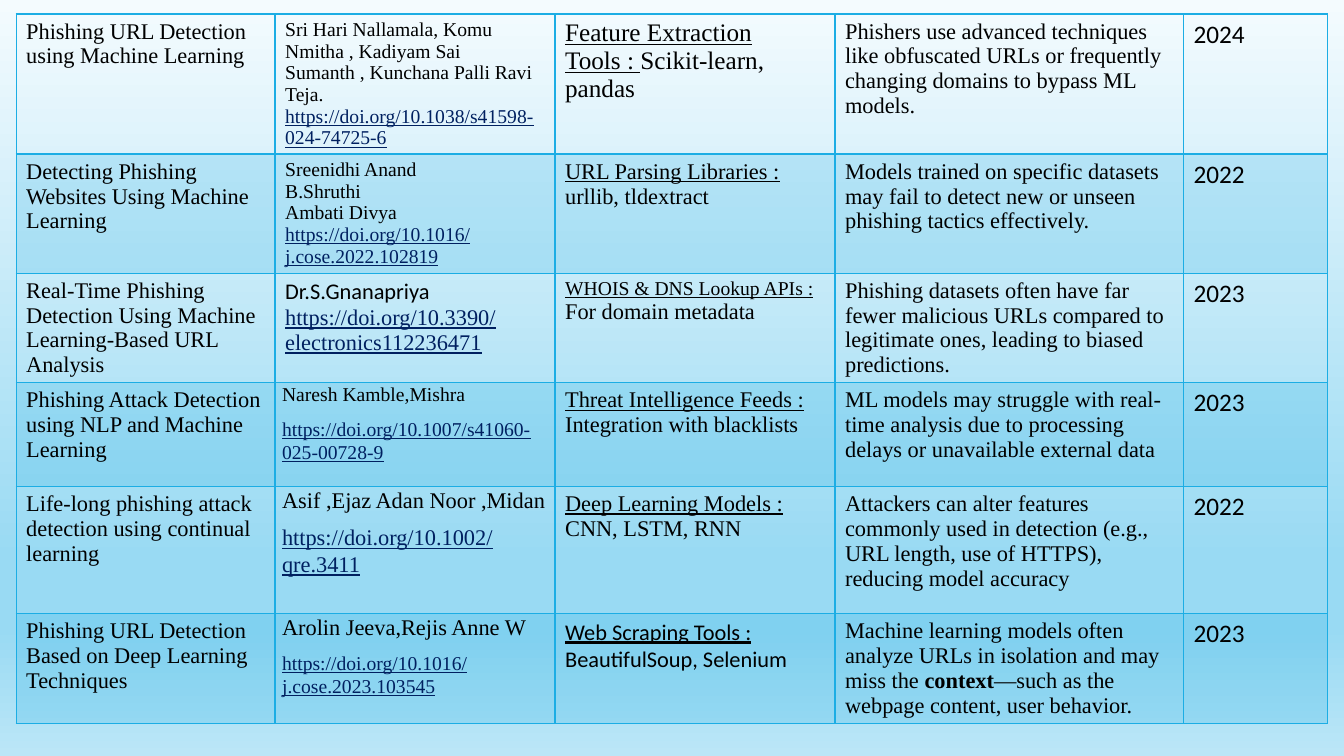
from lxml import etree
from pptx import Presentation
from pptx import util as u
from pptx.dml import color
from pptx.oxml import ns

SERIF, SANS = "Times New Roman", "Calibri"
BLACK, NAVY, CYAN = "000000", "002060", "1CADE4"
BACKDROP = [(0, "F4FBFE"), (74, "99DAF3"), (83, "99DAF3"), (100, "BBE6F7")]
COLUMN_WIDTHS = [185, 200, 200, 249, 103]
ROW_HEIGHTS = [100, 85, 78, 74, 91, 78.5]


def rgb(hex_code):
    return color.RGBColor.from_string(hex_code)


def run(words, **style):
    """A piece of text with its format."""
    return words, style


def link(address, size=14):
    return [run(address, size=size, color=NAVY, underline=True)]


def tool(heading, detail, **style):
    return [[run(heading, underline=True, **style), run(detail, **style)]]


def authors(*names, **style):
    return [[run(name, **style)] for name in names]


# Each study: title, authors and source, tools, limitation, year, compact source cell
STUDIES = [
    ("Phishing URL Detection using Machine Learning",
     authors("Sri Hari Nallamala, Komu Nmitha , Kadiyam Sai Sumanth , Kunchana Palli Ravi Teja.", size=14)
     + [link("https://doi.org/10.1038/s41598-024-74725-6")],
     tool("Feature Extraction Tools : ", "Scikit-learn, pandas", size=18),
     [[run("Phishers use advanced techniques like obfuscated URLs or frequently "
           "changing domains to bypass ML models.")]],
     "2024", False),
    ("Detecting Phishing Websites Using Machine Learning",
     authors("Sreenidhi Anand", "B.Shruthi", "Ambati Divya", size=14)
     + [link("https://doi.org/10.1016/j.cose.2022.102819")],
     tool("URL Parsing Libraries : ", "urllib, tldextract"),
     [[run("Models trained on specific datasets may fail to detect new or unseen "
           "phishing tactics effectively.")]],
     "2022", False),
    ("Real-Time Phishing Detection Using Machine Learning-Based URL Analysis",
     authors("Dr.S.Gnanapriya", font=SANS)
     + [link("https://doi.org/10.3390/electronics112236471", 16)],
     [[run("WHOIS & DNS Lookup APIs :", size=14, underline=True)],
      [run("For domain metadata")]],
     [[run("Phishing datasets often have far fewer malicious URLs compared to "
           "legitimate ones, leading to biased predictions.")]],
     "2023", False),
    ("Phishing Attack Detection using NLP and Machine Learning",
     authors("Naresh Kamble,Mishra", size=14)
     + [link("https://doi.org/10.1007/s41060-025-00728-9")],
     tool("Threat Intelligence Feeds : ", "Integration with blacklists"),
     [[run("ML models may struggle with real-time analysis due to processing "
           "delays or unavailable external data")]],
     "2023", True),
    ("Life-long phishing attack detection using continual learning",
     authors("Asif ,Ejaz Adan Noor ,Midan")
     + [link("https://doi.org/10.1002/qre.3411", 16)],
     tool("Deep Learning Models : ", "CNN, LSTM, RNN"),
     [[run("Attackers can alter features commonly used in detection (e.g., URL "
           "length, use of HTTPS), reducing model accuracy")]],
     "2022", True),
    ("Phishing URL Detection Based on Deep Learning Techniques",
     authors("Arolin Jeeva,Rejis Anne W")
     + [link("https://doi.org/10.1016/j.cose.2023.103545")],
     tool("Web Scraping Tools : ", "BeautifulSoup, Selenium", font=SANS),
     [[run("Machine learning models often analyze URLs in isolation and may miss the "),
       run("context", bold=True),
       run("—such as the webpage content, user behavior.")]],
     "2023", True),
]


def add_text(paragraph, words, size=16, font=SERIF, color=BLACK, underline=False, bold=False):
    piece = paragraph.add_run()
    piece.text = words
    piece.font.size = u.Pt(size)
    piece.font.name = font
    piece.font.color.rgb = rgb(color)
    piece.font.underline = underline
    piece.font.bold = bold


def add_xml(parent, tag, **attributes):
    return etree.SubElement(parent, ns.qn(tag), **attributes)


def paint_backdrop(slide):
    fill = slide.background.fill
    fill.gradient()
    fill.gradient_angle = 270
    stops = next(slide.element.iter(ns.qn("a:gsLst")))
    for stop in list(stops):
        stops.remove(stop)
    for percent, shade in BACKDROP:
        stop = add_xml(stops, "a:gs", pos=str(percent * 1000))
        add_xml(stop, "a:srgbClr", val=shade)


def style_cell(cell, row):
    # Borders, with a heavier rule under the first row
    properties = cell._tc.get_or_add_tcPr()
    heavy = {"B": row == 0, "T": row == 1}
    for side in "LRTB":
        width = u.Pt(2 if heavy.get(side) else 1)
        border = add_xml(properties, f"a:ln{side}", w=str(width))
        add_xml(add_xml(border, "a:solidFill"), "a:srgbClr", val=CYAN)
    # Translucent band on every second row
    if row % 2:
        cell.fill.solid()
        cell.fill.fore_color.rgb = rgb(CYAN)
        band = next(properties.find(ns.qn("a:solidFill")).iter(ns.qn("a:srgbClr")))
        add_xml(band, "a:alpha", val="20000")
    else:
        cell.fill.background()


def fill_cell(cell, paragraphs, compact=False):
    if compact:
        cell.margin_left = cell.margin_right = u.Pt(5)
        cell.margin_top = cell.margin_bottom = u.Pt(0)
    frame = cell.text_frame
    for index, pieces in enumerate(paragraphs):
        paragraph = frame.add_paragraph() if index else frame.paragraphs[0]
        if compact:
            paragraph.line_spacing = 1.07
            paragraph.space_after = u.Pt(8)
        for words, style in pieces:
            add_text(paragraph, words, **style)


def add_literature_table(slide, left, top):
    survey = slide.shapes.add_table(
        len(STUDIES), len(COLUMN_WIDTHS), u.Pt(left), u.Pt(top),
        u.Pt(sum(COLUMN_WIDTHS)), u.Pt(sum(ROW_HEIGHTS))).table
    survey.first_row = survey.horz_banding = False
    for column, width in zip(survey.columns, COLUMN_WIDTHS):
        column.width = u.Pt(width)
    for row, (title, source, tools, limitation, year, compact) in enumerate(STUDIES):
        survey.rows[row].height = u.Pt(ROW_HEIGHTS[row])
        contents = [[[run(title)]], source, tools, limitation,
                    [[run(year, size=18, font=SANS)]]]
        for column, paragraphs in enumerate(contents):
            cell = survey.cell(row, column)
            style_cell(cell, row)
            fill_cell(cell, paragraphs, compact and column == 1)


def main():
    deck = Presentation()
    deck.slide_width, deck.slide_height = u.Pt(960), u.Pt(540)
    slide = deck.slides.add_slide(deck.slide_layouts[6])
    paint_backdrop(slide)
    add_literature_table(slide, 11.5, 10)
    deck.save("out.pptx")


if __name__ == "__main__":
    main()
